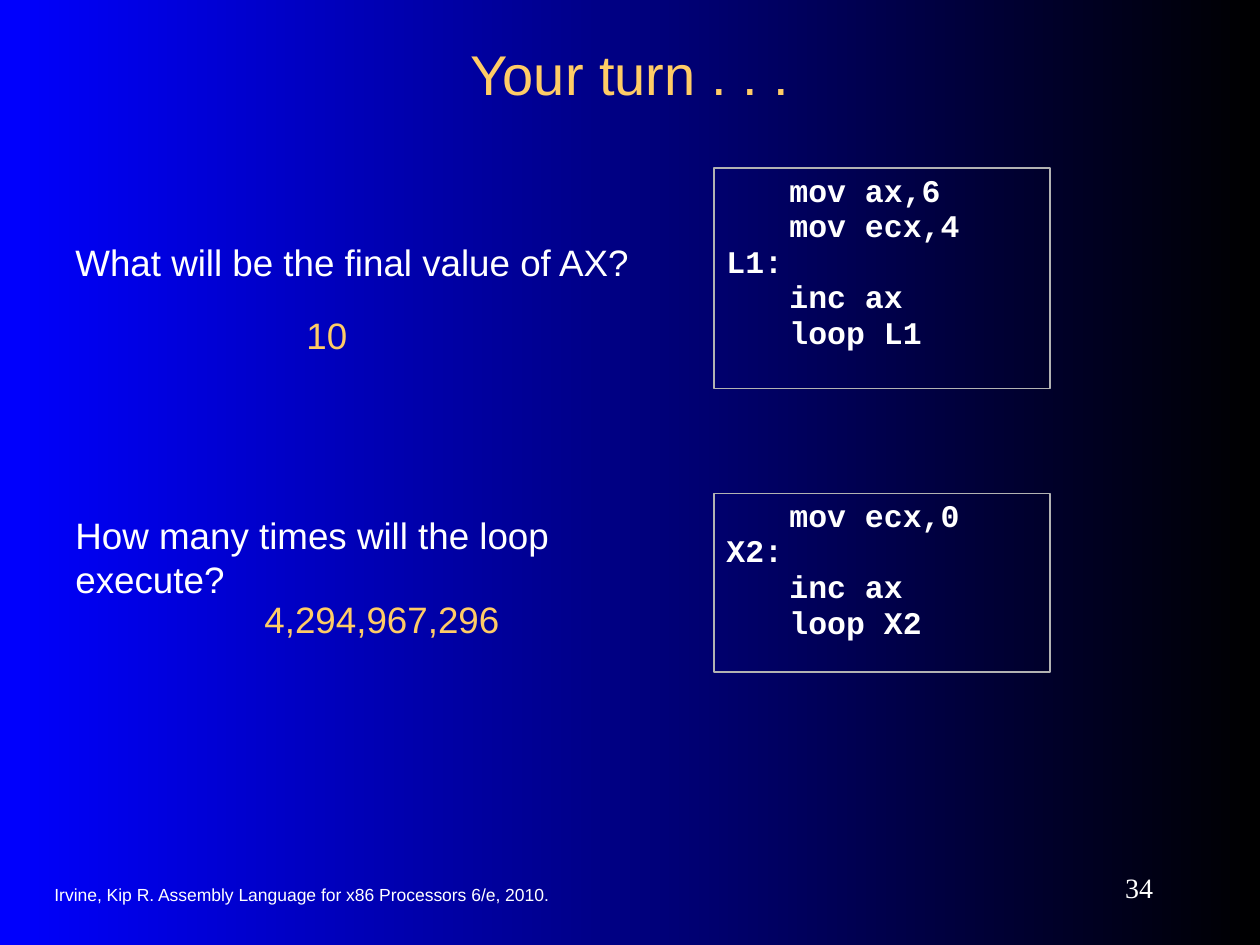
import pptx
import pptx.dml.color
import pptx.enum.shapes
import pptx.enum.text
import pptx.oxml
import pptx.oxml.ns
import pptx.util

COLORS = {
    "white": "FFFFFF",
    "gold": "FFCC66",
    "border": "B2B2B2",
    "blue": "0000FF",
    "black": "000000",
}
COLUMNS, ROWS = 120, 90
ALIGN = pptx.enum.text.PP_ALIGN
ANCHOR = pptx.enum.text.MSO_ANCHOR


def rgb(name):
    return pptx.dml.color.RGBColor.from_string(COLORS[name])


class QuizSlide:
    def __init__(self, deck):
        self.deck = deck
        self.slide = deck.slides.add_slide(deck.slide_layouts[5])

    def place(self, columns, rows, width, height):
        col = self.deck.slide_width / COLUMNS
        row = self.deck.slide_height / ROWS
        return [round(n) for n in (columns * col, rows * row, width * col, height * row)]

    def background(self, start, end):
        fill = self.slide.background.fill
        fill.gradient()
        fill.gradient_angle = 0
        for stop, color, position in zip(fill.gradient_stops, (start, end), (0, 1)):
            stop.color.rgb = rgb(color)
            stop.position = position

    def frame(self, shape, anchor, inset):
        frame = shape.text_frame
        frame.word_wrap = True
        frame.auto_size = pptx.enum.text.MSO_AUTO_SIZE.NONE
        frame.vertical_anchor = anchor
        frame.margin_left = frame.margin_right = pptx.util.Inches(0.1)
        frame.margin_top = frame.margin_bottom = pptx.util.Inches(inset)
        return frame

    def add_words(self, paragraph, words, size, color, font="Arial", align=ALIGN.LEFT, bold=False):
        paragraph.alignment = align
        run = paragraph.add_run()
        run.text = words
        run.font.size = pptx.util.Pt(size)
        run.font.name = font
        run.font.bold = bold
        run.font.color.rgb = rgb(color)

    def title(self, words, area):
        heading = self.slide.shapes.title
        heading.left, heading.top, heading.width, heading.height = self.place(*area)
        frame = self.frame(heading, ANCHOR.MIDDLE, 0.05)
        self.add_words(frame.paragraphs[0], words, 32, "gold", align=ALIGN.CENTER)

    def text(self, words, area, size=21, color="white", anchor=ANCHOR.TOP, inset=0.15, **style):
        box = self.slide.shapes.add_textbox(*self.place(*area))
        frame = self.frame(box, anchor, inset)
        self.add_words(frame.paragraphs[0], words, size, color, **style)

    def footer(self, words, area, size, **style):
        self.text(words, area, size, anchor=ANCHOR.MIDDLE, inset=0.05, **style)

    def code(self, lines, area):
        panel = self.slide.shapes.add_shape(
            pptx.enum.shapes.MSO_SHAPE.RECTANGLE, *self.place(*area))
        panel.shadow.inherit = False
        panel.fill.background()
        panel.line.color.rgb = rgb("border")
        panel.line.width = pptx.util.Pt(0.75)
        frame = self.frame(panel, ANCHOR.TOP, 0.15)
        for index, line in enumerate(lines):
            paragraph = frame.add_paragraph() if index else frame.paragraphs[0]
            paragraph.line_spacing = 0.5
            paragraph.space_before = pptx.util.Pt(9.5)
            self.add_words(paragraph, line, 18, "white", font="Courier New", bold=True)
            self.tab_stop(paragraph, pptx.util.Inches(0.5))

    def tab_stop(self, paragraph, position):
        properties = paragraph._p.get_or_add_pPr()
        properties.append(pptx.oxml.parse_xml(
            f'<a:tabLst {pptx.oxml.ns.nsdecls("a")}>'
            f'<a:tab pos="{position}" algn="l"/></a:tabLst>'))


def main():
    deck = pptx.Presentation()
    deck.slide_width = pptx.util.Inches(10)
    deck.slide_height = pptx.util.Inches(7.5)

    quiz = QuizSlide(deck)
    quiz.background("blue", "black")
    quiz.footer("Irvine, Kip R. Assembly Language for x86 Processors 6/e, 2010.",
                (4, 83.2, 63, 4), 10)
    quiz.footer("34", (98, 82, 13, 5), 16, font="Times New Roman", align=ALIGN.RIGHT)
    quiz.title("Your turn . . .", (9, 3, 102, 8))

    quiz.text("What will be the final value of AX?", (6, 21, 66, 7.8))
    quiz.code(["\tmov ax,6", "\tmov ecx,4", "L1:", "\tinc ax", "\tloop L1"],
              (68, 16, 32, 21))
    quiz.text("How many times will the loop execute?", (6, 47, 56, 12))
    quiz.code(["\tmov ecx,0", "X2:", "\tinc ax", "\tloop X2"], (68, 47, 32, 17))
    quiz.text("10", (28, 28, 8, 7.8), color="gold")
    quiz.text("4,294,967,296", (24, 55, 28, 7.8), color="gold")

    deck.save("out.pptx")


if __name__ == "__main__":
    main()
